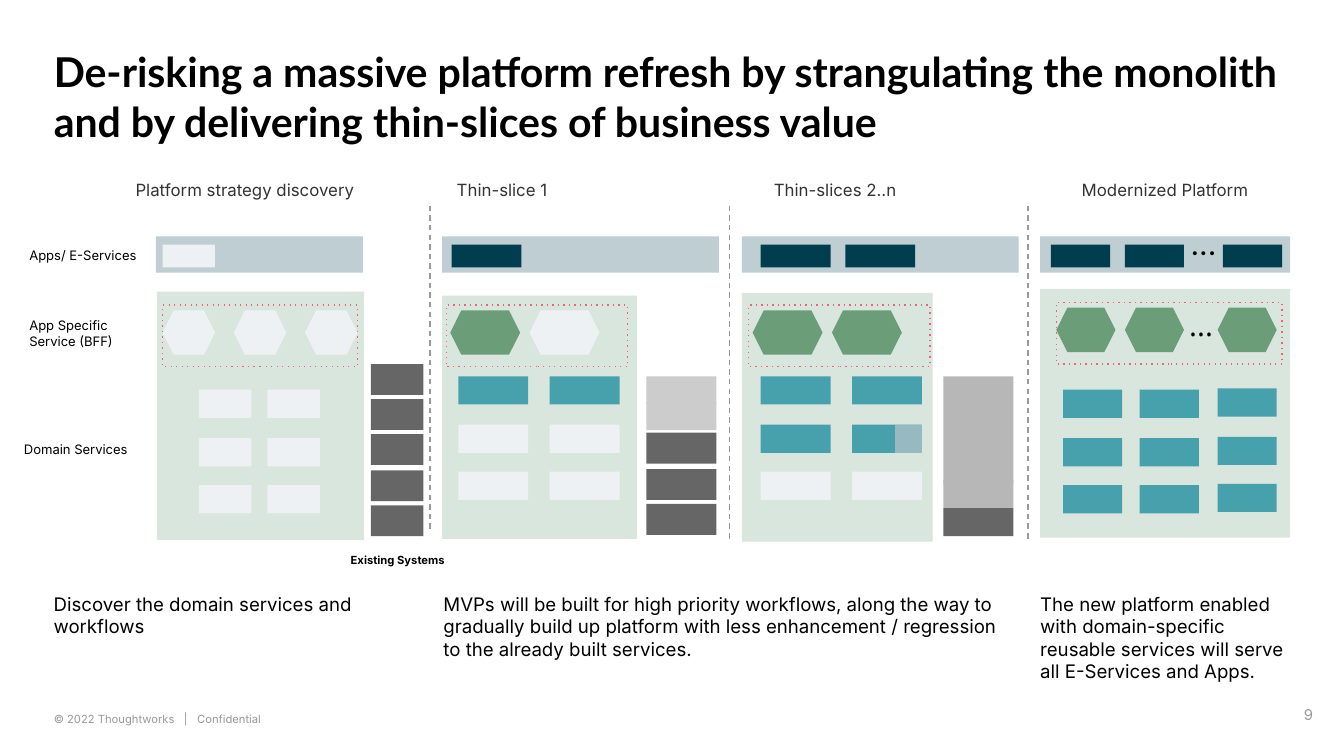
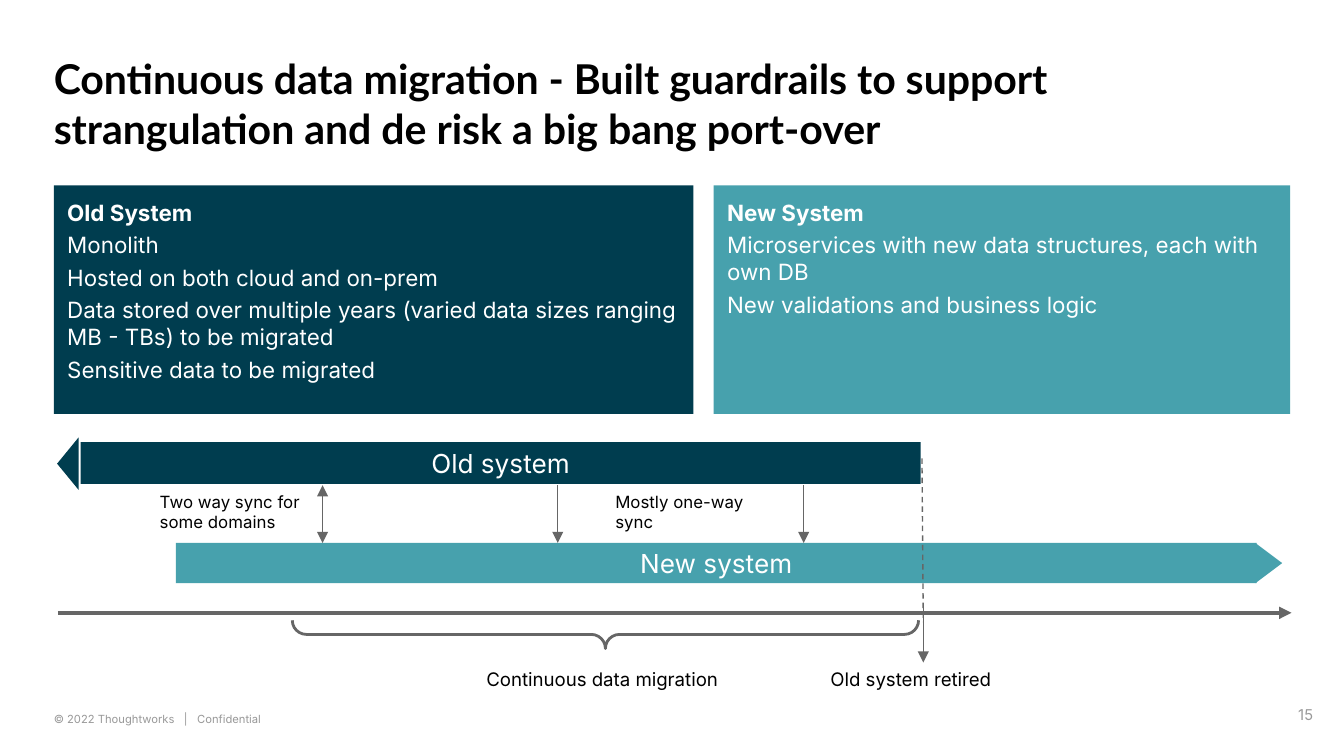
from dataclasses import dataclass

from lxml import etree
from pptx import Presentation
from pptx import util as u
from pptx.dml import color
from pptx.enum import dml, shapes, text
from pptx.oxml import ns

PX = u.Inches(1) // 100  # 100 px to the inch


@dataclass(frozen=True)
class Theme:
    navy: str = "003D4F"
    teal: str = "47A1AD"
    green: str = "6B9E78"
    pink: str = "F2617A"
    mist: str = "EDF1F3"
    charcoal: str = "666666"
    heading: str = "333333"
    footer: str = "999999"
    silver: str = "CCCCCC"
    grey: str = "B7B7B7"
    black: str = "000000"
    white: str = "FFFFFF"
    title_font: str = "Lato"
    body_font: str = "Inter"
    dots_font: str = "Open Sans"
    title_size: int = 22
    dots_size: int = 16
    bar_size: int = 14
    list_size: int = 12
    caption_size: int = 10
    label_size: int = 9
    number_size: int = 8
    row_size: int = 7
    small_size: int = 6


theme = Theme()
RECT = shapes.MSO_SHAPE.RECTANGLE
HEXAGON = shapes.MSO_SHAPE.HEXAGON
TRIANGLE = shapes.MSO_SHAPE.FLOWCHART_EXTRACT
LEFT, CENTER, RIGHT = text.PP_ALIGN.LEFT, text.PP_ALIGN.CENTER, text.PP_ALIGN.RIGHT
TOP, MIDDLE, BOTTOM = text.MSO_ANCHOR.TOP, text.MSO_ANCHOR.MIDDLE, text.MSO_ANCHOR.BOTTOM


def draw(parent, kind, box, fill=None, opacity=100, line=None, width=0.75):
    """Add a preset shape, or a text box when kind is None."""
    left, top, wide, high = [value * PX for value in box]
    if kind is None:
        return parent.add_textbox(left, top, wide, high)
    shape = parent.add_shape(kind, left, top, wide, high)
    shape.shadow.inherit = False
    if fill:
        shape.fill.solid()
        shape.fill.fore_color.rgb = color.RGBColor.from_string(fill)
        if opacity < 100:
            tint = shape._element.spPr.find(ns.qn("a:solidFill"))[0]
            etree.SubElement(tint, ns.qn("a:alpha"), val=str(opacity * 1000))
    else:
        shape.fill.background()
    if line:
        shape.line.color.rgb = color.RGBColor.from_string(line)
        shape.line.width = u.Pt(width)
    else:
        shape.line.fill.background()
    return shape


def write(shape, lines, size, ink=theme.black, font=theme.body_font, bold=False,
          align=LEFT, anchor=TOP, inset=10):
    """Fill a shape with one paragraph per line."""
    frame = shape.text_frame
    frame.word_wrap = True
    frame.auto_size = text.MSO_AUTO_SIZE.NONE
    frame.vertical_anchor = anchor
    frame.margin_left = frame.margin_right = inset * PX
    frame.margin_top = frame.margin_bottom = inset * PX
    frame.text = "\n".join(lines)
    for paragraph in frame.paragraphs:
        paragraph.alignment = align
        paragraph.font.size = u.Pt(size)
        paragraph.font.name = font
        paragraph.font.bold = bold
        paragraph.font.color.rgb = color.RGBColor.from_string(ink)
    return frame


presentation = Presentation()
presentation.slide_width = 1000 * PX
presentation.slide_height = u.Inches(5.625)

# Shared frame: title, footer and page number
pages = [
    (5, "De-risking a massive platform refresh by strangulating the monolith "
        "and by delivering thin-slices of business value", MIDDLE, "9"),
    (3, "Continuous data migration - Built guardrails to support "
        "strangulation and de risk a big bang port-over", TOP, "15"),
]
for layout, title, anchor, number in pages:
    slide = presentation.slides.add_slide(presentation.slide_layouts[layout])
    heading = slide.shapes.title
    heading.left, heading.top, heading.width, heading.height = [
        value * PX for value in (40, 40, 919, 63)]
    write(heading, [title], theme.title_size, font=theme.title_font, bold=True,
          anchor=anchor, inset=0)
    write(draw(slide.shapes, None, (40, 521, 431, 19)),
          ["© 2022 Thoughtworks   |   Confidential"], theme.small_size,
          theme.footer, anchor=BOTTOM, inset=0)
    write(draw(slide.shapes, None, (927, 510, 60, 43)), [number], theme.number_size,
          theme.footer, align=RIGHT, anchor=MIDDLE)

strategy, migration = presentation.slides

# Strategy: the four stages, each with apps, service hexagons and domain services
stages = [
    dict(name="Platform strategy discovery", name_box=(91, 132, 218, 18),
         bar=(116, 154), panel=(117, 217, 154, 185), outline=(121, 227, 145, 46),
         block=39, apps=[121], apps_done=0, hexagons=[121, 174, 227], hexagons_done=0,
         columns=[(148, 290), (199, 290)], services_done=0),
    dict(name="Thin-slice 1", name_box=(330, 132, 91, 18),
         bar=(329, 206), panel=(329, 220, 145, 181), outline=(332, 227, 135, 46),
         block=52, apps=[336], apps_done=1, hexagons=[335, 394], hexagons_done=1,
         columns=[(341, 280), (409, 280)], services_done=2),
    dict(name="Thin-slices 2..n", name_box=(566, 132, 186, 18),
         bar=(552, 206), panel=(552, 218, 142, 185), outline=(557, 227, 135, 46),
         block=52, apps=[566, 629], apps_done=2, hexagons=[560, 619], hexagons_done=2,
         columns=[(566, 280), (634, 280)], services_done=4),
    dict(name="Modernized Platform", name_box=(795, 132, 165, 18),
         bar=(774, 186), panel=(774, 215, 186, 185), outline=(786, 225, 168, 46),
         block=44, apps=[782, 837, 910], apps_done=3, hexagons=[786, 837, 906],
         hexagons_done=3, columns=[(791, 290), (848, 290), (906, 289)], services_done=9),
]
for stage in stages:
    write(draw(strategy.shapes, None, stage["name_box"]), [stage["name"]],
          theme.label_size, theme.heading, anchor=MIDDLE)
    bar_left, bar_width = stage["bar"]
    draw(strategy.shapes, RECT, (bar_left, 176, bar_width, 27), theme.navy, 25)
    draw(strategy.shapes, RECT, stage["panel"], theme.green, 25)
    outline = draw(strategy.shapes, RECT, stage["outline"], line=theme.pink)
    etree.SubElement(outline._element.spPr.find(ns.qn("a:ln")), ns.qn("a:prstDash"),
                     val="dot")
    block = stage["block"]
    for index, left in enumerate(stage["apps"]):
        fill = theme.navy if index < stage["apps_done"] else theme.mist
        draw(strategy.shapes, RECT, (left, 182, block, 17), fill)
    for index, left in enumerate(stage["hexagons"]):
        fill = theme.green if index < stage["hexagons_done"] else theme.mist
        draw(strategy.shapes, HEXAGON, (left, stage["outline"][1] + 4, block, 33), fill)
    for row, offset in enumerate((0, 36, 71)):
        for column, (left, top) in enumerate(stage["columns"]):
            done = row * len(stage["columns"]) + column < stage["services_done"]
            draw(strategy.shapes, RECT, (left, top + offset, block, 21),
                 theme.teal if done else theme.mist)

# Strategy: part of one service still to be built
draw(strategy.shapes, RECT, (666, 316, 20, 21), theme.silver, 60)

# Strategy: existing systems, retired from the top down
systems = [
    (276, 39, 23, theme.charcoal, [271, 297, 323, 350, 376]),
    (481, 52, 21, theme.silver, [299, 280]),
    (481, 52, 23, theme.charcoal, [322, 349, 375]),
    (702, 52, 80, theme.grey, [280]),
    (702, 52, 21, theme.grey, [357]),
    (702, 52, 21, theme.charcoal, [378]),
]
for left, width, height, fill, tops in systems:
    for top in tops:
        draw(strategy.shapes, RECT, (left, top, width, height), fill)
write(draw(strategy.shapes, None, (261, 412, 74, 10)), ["Existing Systems"],
      theme.small_size, bold=True, inset=0)

# Strategy: row labels, dots and captions
for label, box in [
    ("Apps/ E-Services", (12, 177, 109, 26)),
    ("App Specific Service (BFF)", (12, 235, 91, 26)),
    ("Domain Services", (8, 321, 109, 26)),
]:
    write(draw(strategy.shapes, None, box), [label], theme.row_size, anchor=MIDDLE)
write(draw(strategy.shapes, None, (881, 173, 29, 17)), ["..."], theme.dots_size,
      align=CENTER, anchor=MIDDLE, inset=0)
write(draw(strategy.shapes, None, (875, 220, 79, 17)), ["..."], theme.dots_size,
      font=theme.dots_font)
for left, width, caption in [
    (40, 274, "Discover the domain services and workflows"),
    (330, 423, "MVPs will be built for high priority workflows, along the way to "
               "gradually build up platform with less enhancement / regression "
               "to the already built services."),
    (774, 186, "The new platform enabled with domain-specific reusable services "
               "will serve all E-Services and Apps."),
]:
    write(draw(strategy.shapes, None, (left, 441, width, 69)), [caption],
          theme.caption_size, inset=0)

# Migration: the two system panels
panels = [
    (40, 476, theme.navy, [
        "Old System", "Monolith", "Hosted on both cloud and on-prem",
        "Data stored over multiple years (varied data sizes ranging MB - TBs) "
        "to be migrated",
        "Sensitive data to be migrated"]),
    (531, 429, theme.teal, [
        "New System", "Microservices with new data structures, each with own DB",
        "New validations and business logic"]),
]
for index, (left, width, fill, lines) in enumerate(panels, start=1):
    panel = migration.placeholders[index]
    panel.left, panel.top, panel.width, panel.height = [
        value * PX for value in (left, 138, width, 170)]
    panel.fill.solid()
    panel.fill.fore_color.rgb = color.RGBColor.from_string(fill)
    frame = write(panel, lines, theme.list_size, theme.white)
    for row, paragraph in enumerate(frame.paragraphs):
        properties = paragraph._p.get_or_add_pPr()
        properties.set("marL", "0")
        properties.set("indent", "0")
        properties.insert(0, etree.Element(ns.qn("a:buNone")))
        paragraph.space_before = u.Pt(3 if row else 0)
        paragraph.font.bold = row == 0

# Migration: the two system bars with their arrow tips
for name, fill, bar_box, tip_box, turn in [
    ("Old system", theme.navy, (60, 329, 625, 31), (31, 337, 39, 16), 270),
    ("New system", theme.teal, (131, 404, 804, 30), (929, 409, 30, 20), 90),
]:
    group = migration.shapes.add_group_shape()
    bar = draw(group.shapes, RECT, bar_box, fill)
    write(bar, [name], theme.bar_size, theme.white, align=CENTER, anchor=MIDDLE)
    draw(group.shapes, TRIANGLE, tip_box, fill).rotation = turn

# Migration: brace and labels
brace = draw(migration.shapes, shapes.MSO_SHAPE.LEFT_BRACE, (440, 239, 21, 466),
             line=theme.charcoal, width=1.5)
brace.adjustments[0] = 0.5
brace.rotation = 270
for label, box, size, anchor in [
    ("Two way sync for some domains", (109, 356, 125, 50), theme.label_size, TOP),
    ("Mostly one-way sync", (448, 356, 125, 50), theme.label_size, TOP),
    ("Continuous data migration", (352, 486, 198, 39), theme.caption_size, MIDDLE),
    ("Old system retired", (608, 486, 159, 39), theme.caption_size, MIDDLE),
]:
    write(draw(migration.shapes, None, box), [label], size, anchor=anchor)

# Dividers and arrows of both slides
connectors = [
    (strategy, (320, 153, 320, 396), theme.footer, 0.75, True, []),
    (strategy, (543, 153, 543, 401), theme.footer, 0.75, True, []),
    (strategy, (765, 153, 765, 401), theme.footer, 0.75, True, []),
    (migration, (43, 456, 961, 456), theme.charcoal, 2.25, False, ["tailEnd"]),
    (migration, (687, 452, 687, 493), theme.charcoal, 0.75, False, ["tailEnd"]),
    (migration, (240, 361, 240, 404), theme.charcoal, 0.75, False, ["headEnd", "tailEnd"]),
    (migration, (415, 361, 415, 404), theme.charcoal, 0.75, False, ["tailEnd"]),
    (migration, (598, 361, 598, 404), theme.charcoal, 0.75, False, ["tailEnd"]),
    (migration, (686, 341, 687, 463), theme.charcoal, 0.75, True, []),
]
for slide, ends, ink, width, dashed, arrowheads in connectors:
    connector = slide.shapes.add_connector(
        shapes.MSO_CONNECTOR.STRAIGHT, *[value * PX for value in ends])
    connector.line.color.rgb = color.RGBColor.from_string(ink)
    connector.line.width = u.Pt(width)
    if dashed:
        connector.line.dash_style = dml.MSO_LINE.DASH
    properties = connector._element.spPr
    for arrowhead in arrowheads:
        etree.SubElement(properties.find(ns.qn("a:ln")), ns.qn("a:" + arrowhead),
                         type="triangle")
    etree.SubElement(properties, ns.qn("a:effectLst"))

presentation.save("out.pptx")
